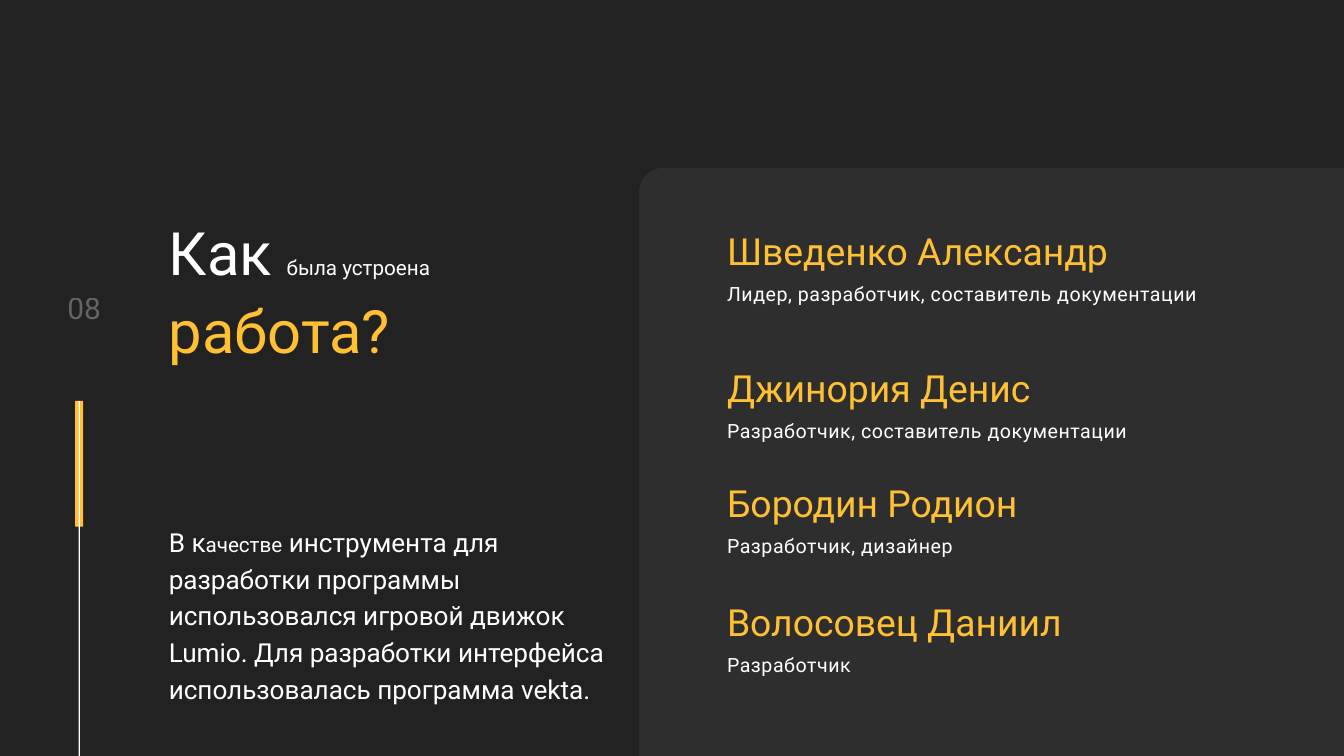
import pptx
import pptx.util
import pptx.dml.color
import pptx.enum.shapes
import pptx.enum.text
import pptx.oxml
import pptx.oxml.ns

Cm = pptx.util.Cm
Pt = pptx.util.Pt
SHAPES = pptx.enum.shapes.MSO_SHAPE
ALIGN = pptx.enum.text.PP_ALIGN

COLORS = {
    "background": "222222",
    "panel": "2E2E2E",
    "accent": "FFC033",
    "text": "FFFFFF",
}


class Page:
    font_name = "Roboto"

    def __init__(self, slide):
        self.slide = slide
        fill = slide.background.fill
        fill.solid()
        fill.fore_color.rgb = self.rgb("background")

    def rgb(self, color):
        return pptx.dml.color.RGBColor.from_string(COLORS[color])

    def block(self, left, top, width, height, color, radius=0):
        kind = SHAPES.ROUNDED_RECTANGLE if radius else SHAPES.RECTANGLE
        block = self.slide.shapes.add_shape(kind, Cm(left), Cm(top), Cm(width), Cm(height))
        if radius:
            block.adjustments[0] = radius / min(width, height)
        block.shadow.inherit = False
        block.fill.solid()
        block.fill.fore_color.rgb = self.rgb(color)
        block.line.fill.background()

    def text(self, left, top, width, height, runs, size, leading,
             color="text", align=ALIGN.LEFT, spacing=0, opacity=100):
        box = self.slide.shapes.add_textbox(Cm(left), Cm(top), Cm(width), Cm(height))
        frame = box.text_frame
        frame.word_wrap = True
        frame.margin_left = frame.margin_right = frame.margin_top = frame.margin_bottom = 0
        paragraph = frame.paragraphs[0]
        paragraph.alignment = align
        paragraph.line_spacing = Pt(leading)
        paragraph.font.name = self.font_name
        mixed_sizes = len({run_size for _, run_size, _ in runs}) > 1
        mixed_colors = len({run_color for _, _, run_color in runs}) > 1
        if not mixed_sizes:
            paragraph.font.size = Pt(size)
        if not mixed_colors:
            paragraph.font.color.rgb = self.rgb(color)
        for words, run_size, run_color in runs:
            run = paragraph.add_run()
            run.text = words
            if mixed_sizes:
                run.font.size = Pt(run_size or size)
            if mixed_colors:
                run.font.color.rgb = self.rgb(run_color or color)
        properties = paragraph._p.pPr.find(pptx.oxml.ns.qn("a:defRPr"))
        if spacing:
            properties.set("spc", str(round(spacing * 100)))
        if opacity < 100:
            tint = properties.find(".//" + pptx.oxml.ns.qn("a:srgbClr"))
            alpha = pptx.oxml.parse_xml(f'<a:alpha {pptx.oxml.ns.nsdecls("a")} val="{opacity * 1000}"/>')
            tint.append(alpha)

    def member(self, top, name, role):
        left, width = 27.48, 19.81
        self.text(left, top, width, 1.87, [(name, None, None)], 40, 56, color="accent")
        self.text(left, top + 2.09, width, 1, [(role, None, None)], 21, 31.5, spacing=0.6)


def main():
    presentation = pptx.Presentation()
    presentation.slide_width = Cm(50.8)
    presentation.slide_height = Cm(28.58)
    page = Page(presentation.slides.add_slide(presentation.slide_layouts[6]))

    page.block(2.84, 15.16, 0.3, 4.75, "accent")
    page.block(2.97, 15.16, 0.05, 16.13, "text")
    page.block(24.16, 6.35, 27.43, 26.9, "panel", radius=0.89)

    title = [
        ("Как ", None, None),
        ("была устроена", 22.1, None),
        (" ", None, None),
        ("работа?", None, "accent"),
    ]
    page.text(6.38, 7.95, 16.03, 8.74, title, 64, 83.2)

    tools = [
        ("В к", None, None),
        ("ачестве", 22.1, None),
        (" инструмента для разработки программы использовался игровой движок Lumio. "
         "Для разработки интерфейса использовалась программа vekta.", None, None),
    ]
    page.text(6.38, 19.71, 16.74, 6.83, tools, 28, 39.2)

    page.text(1.85, 11.18, 2.67, 1.24, [("08", None, None)], 32, 32,
              align=ALIGN.CENTER, opacity=30)

    team = [
        (8.36, "Шведенко Александр", "Лидер, разработчик, составитель документации"),
        (13.54, "Джинория Денис", "Разработчик, составитель документации"),
        (17.88, "Бородин Родион", "Разработчик, дизайнер"),
        (22.38, "Волосовец Даниил", "Разработчик"),
    ]
    for top, name, role in team:
        page.member(top, name, role)

    presentation.save("out.pptx")


if __name__ == "__main__":
    main()
